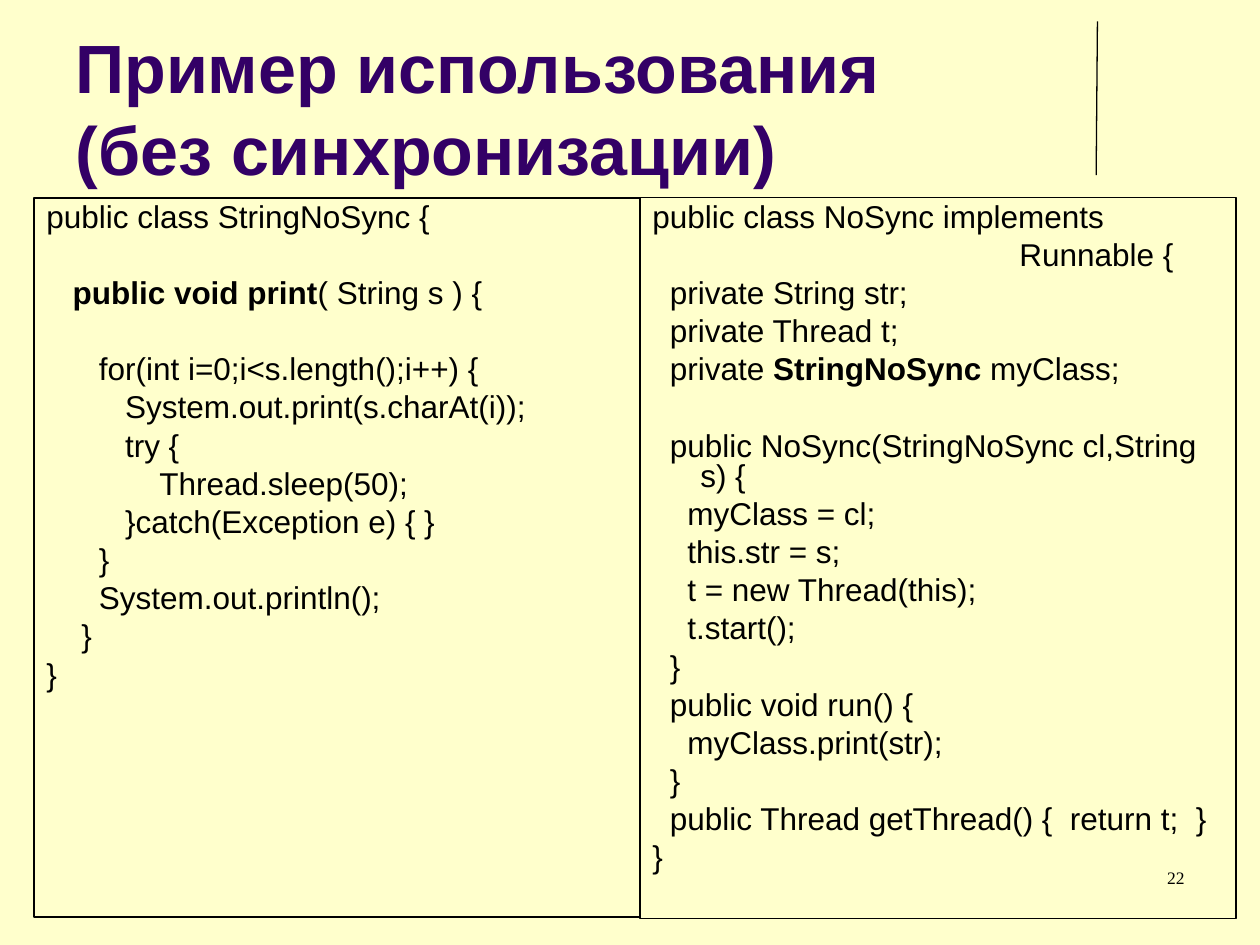
from pptx import Presentation
from pptx import util as u
from pptx.dml.color import RGBColor
from pptx.enum import shapes, text
from pptx.oxml.ns import qn
from lxml import etree

COLORS = {"paper": "FFFFCC", "title": "330066", "ink": "000000"}

STRING_CLASS = """public class StringNoSync {

  ** public void print**( String s ) {

      for(int i=0;i<s.length();i++) {
         System.out.print(s.charAt(i));
         try {
             Thread.sleep(50);
         }catch(Exception e) { }
      }
      System.out.println();
    }
}"""

RUNNABLE_CLASS = """public class NoSync implements
                                          Runnable {
  private String str;
  private Thread t;
  private **StringNoSync** myClass;

  public NoSync(StringNoSync cl,String s) {
    myClass = cl;
    this.str = s;
    t = new Thread(this);
    t.start();
  }
  public void run() {
    myClass.print(str);
  }
  public Thread getThread() {  return t;  }
}"""

LINE_GAP = 4.5
BLANK_LINE = 21.8


def color(name):
    return RGBColor.from_string(COLORS[name])


def add_run(p, content, size=18, font="Arial", fill="ink", bold=False):
    r = p.add_run()
    r.text = content
    r.font.size = u.Pt(size)
    r.font.name = font
    r.font.bold = bold
    r.font.color.rgb = color(fill)


def add_label(s, box, content, align=text.PP_ALIGN.LEFT,
              anchor=text.MSO_ANCHOR.TOP, **fmt):
    tf = s.shapes.add_textbox(*map(u.Inches, box)).text_frame
    tf.word_wrap = True
    tf.vertical_anchor = anchor
    p = tf.paragraphs[0]
    p.alignment = align
    for i, line in enumerate(content.split("\n")):
        if i:
            p.add_line_break()
        add_run(p, line, **fmt)


def add_code(s, box, code, line_width):
    sp = s.shapes.add_shape(shapes.MSO_SHAPE.RECTANGLE, *map(u.Inches, box))
    sp.shadow.inherit = False
    sp.fill.background()
    sp.line.color.rgb = color("ink")
    sp.line.width = u.Pt(line_width)
    tf = sp.text_frame
    tf.word_wrap = True
    tf.vertical_anchor = text.MSO_ANCHOR.TOP
    p, gap = tf.paragraphs[0], 0
    for i, line in enumerate(code.split("\n")):
        if not line:
            gap += BLANK_LINE
            continue
        if i:
            p = tf.add_paragraph()
        p.alignment = text.PP_ALIGN.LEFT
        p.line_spacing = 0.8
        p.space_before = u.Pt(gap)
        pPr = p._p.get_or_add_pPr()
        pPr.set("marL", str(u.Inches(0.38)))
        pPr.set("indent", str(-u.Inches(0.38)))
        for j, part in enumerate(line.split("**")):
            if part:
                add_run(p, part, bold=j % 2 == 1)
        gap = LINE_GAP


def add_rule(s, start, end):
    ln = s.shapes.add_connector(shapes.MSO_CONNECTOR.STRAIGHT,
                                *map(u.Inches, start + end))
    ln.line.color.rgb = color("ink")
    ln.line.width = u.Pt(0.75)
    etree.SubElement(ln._element.spPr, qn("a:effectLst"))


def main():
    prs = Presentation()
    prs.slide_width, prs.slide_height = u.Inches(10), u.Inches(7.5)
    s = prs.slides.add_slide(prs.slide_layouts[6])
    s.background.fill.solid()
    s.background.fill.fore_color.rgb = color("paper")

    add_rule(s, (8.71, 0.17), (8.7, 1.39))
    add_label(s, (0.5, 0.13, 8.25, 1.42),
              "Пример использования\n(без синхронизации)",
              anchor=text.MSO_ANCHOR.BOTTOM, size=39, fill="title", bold=True)
    add_code(s, (0.27, 1.57, 4.81, 5.71), STRING_CLASS, 1)
    add_code(s, (5.08, 1.57, 4.73, 5.72), RUNNABLE_CLASS, 0.75)
    add_label(s, (7.17, 6.83, 2.33, 0.5), "22", align=text.PP_ALIGN.RIGHT,
              size=10, font="Times New Roman")
    prs.save("out.pptx")


if __name__ == "__main__":
    main()
